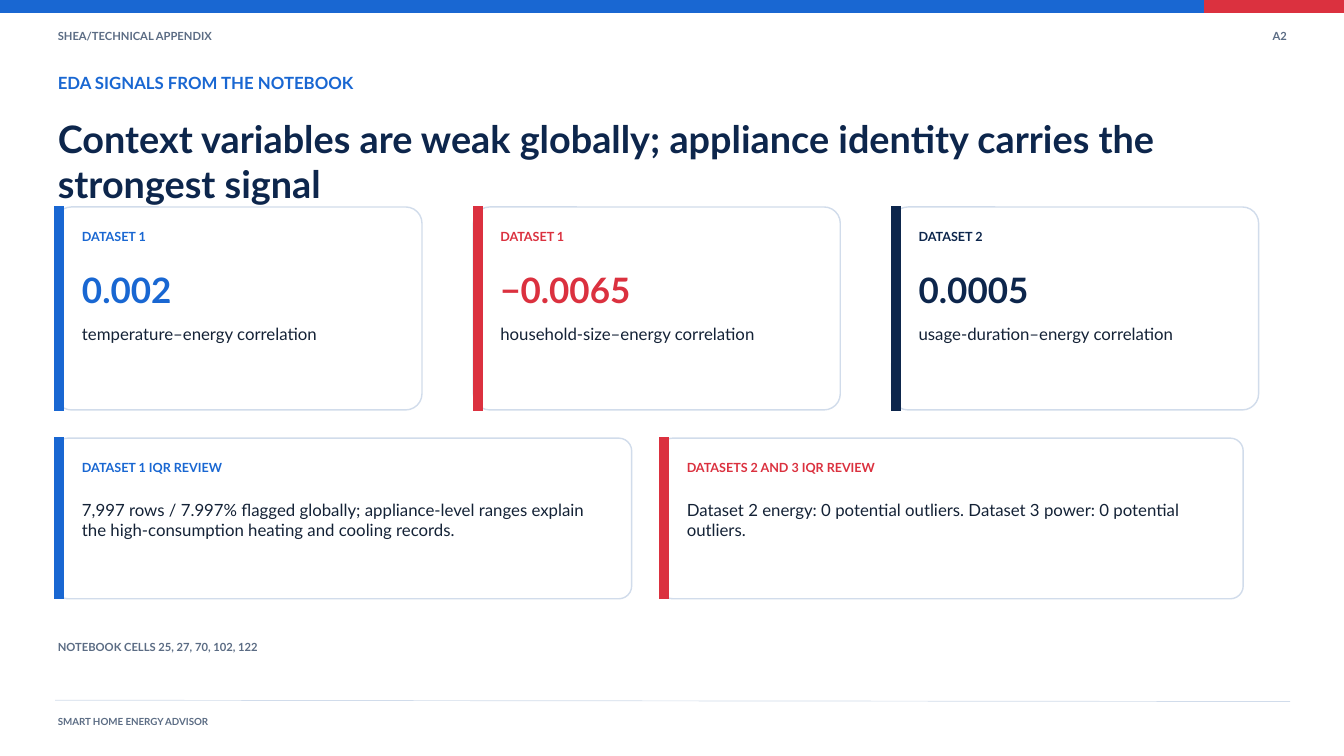
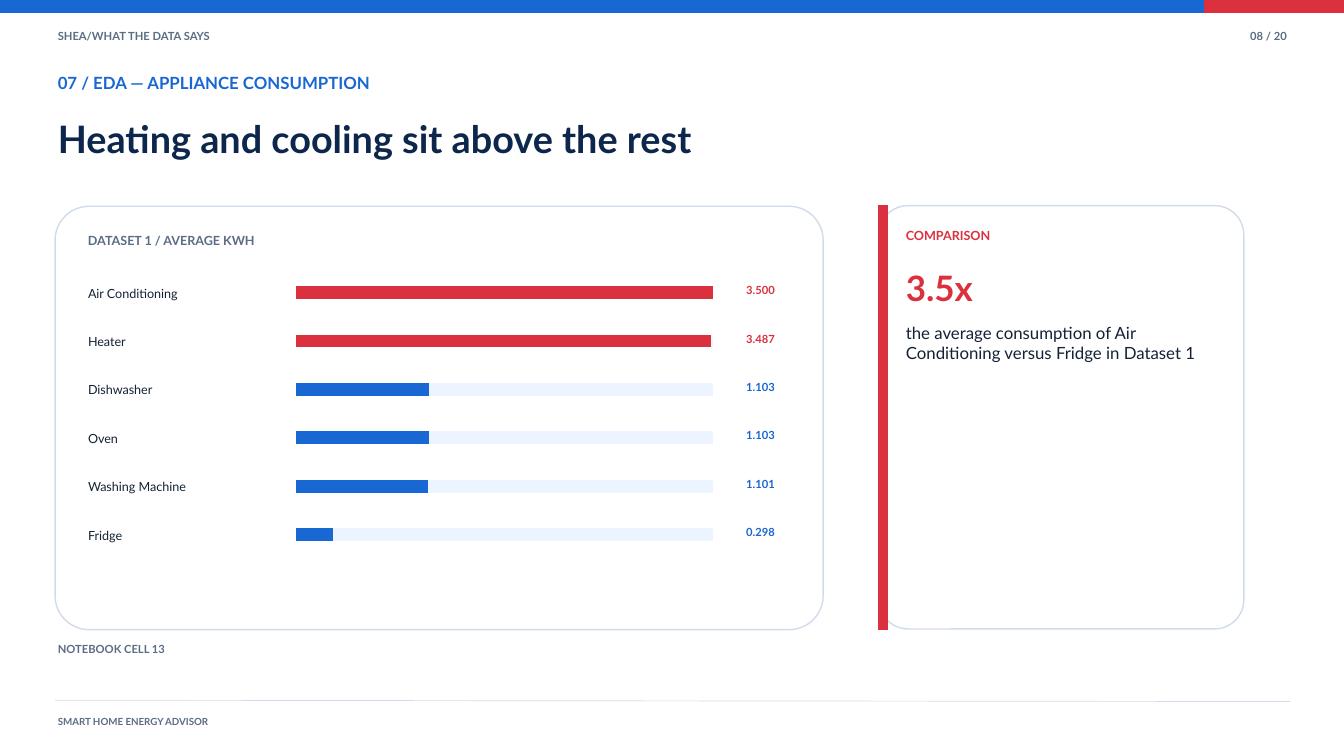
import pptx
import pptx.dml.color
import pptx.enum.shapes
import pptx.enum.text
import pptx.oxml
import pptx.oxml.ns
import pptx.util
from pptx.util import Inches

RGBColor = pptx.dml.color.RGBColor
BLUE = RGBColor(0x19, 0x67, 0xD2)
RED = RGBColor(0xDB, 0x31, 0x3F)
NAVY = RGBColor(0x0D, 0x26, 0x4C)
INK = RGBColor(0x14, 0x22, 0x36)
SLATE = RGBColor(0x5B, 0x6C, 0x84)
BORDER = RGBColor(0xD1, 0xDC, 0xEB)
TRACK = RGBColor(0xEB, 0xF4, 0xFF)
WHITE = RGBColor(0xFF, 0xFF, 0xFF)

FONT = "Lato"
LEFT = pptx.enum.text.PP_ALIGN.LEFT
RIGHT = pptx.enum.text.PP_ALIGN.RIGHT
RECTANGLE = pptx.enum.shapes.MSO_SHAPE.RECTANGLE
ROUNDED = pptx.enum.shapes.MSO_SHAPE.ROUNDED_RECTANGLE

CARD_LEFT = 0.82
TEXT_LEFT = 0.86
CONSUMPTION = [
    ("Air Conditioning", 3.500),
    ("Heater", 3.487),
    ("Dishwasher", 1.103),
    ("Oven", 1.103),
    ("Washing Machine", 1.101),
    ("Fridge", 0.298),
]


def place(shape, left, top, width, height):
    shape.left, shape.top = Inches(left), Inches(top)
    shape.width, shape.height = Inches(width), Inches(height)


def write(frame, text, size, color, bold, align):
    """Fill a text frame with one paragraph, without insets."""
    frame.margin_left = frame.margin_right = 0
    frame.margin_top = frame.margin_bottom = 0
    frame.word_wrap = True
    frame.vertical_anchor = pptx.enum.text.MSO_ANCHOR.TOP
    frame.text = text
    paragraph = frame.paragraphs[0]
    paragraph.alignment = align
    paragraph.line_spacing = pptx.util.Pt(size * 1.2)
    font = paragraph.runs[0].font
    font.name, font.size, font.bold = FONT, pptx.util.Pt(size), bold
    font.color.rgb = color


def add_text(slide, text, left, top, width, height, size, color, bold=True, align=LEFT):
    box = slide.shapes.add_textbox(
        Inches(left), Inches(top), Inches(width), Inches(height))
    write(box.text_frame, text, size, color, bold, align)
    box.text_frame.auto_size = pptx.enum.text.MSO_AUTO_SIZE.SHAPE_TO_FIT_TEXT


def add_block(slide, kind, left, top, width, height, fill, line):
    """Preset shape with a solid fill and a sharp-cornered outline."""
    block = slide.shapes.add_shape(
        kind, Inches(left), Inches(top), Inches(width), Inches(height))
    block.shadow.inherit = False
    block.fill.solid()
    block.fill.fore_color.rgb = fill
    block.line.color.rgb = line
    block.line.width = pptx.util.Pt(1.5)
    block.line._get_or_add_ln().append(pptx.oxml.parse_xml(
        f'<a:miter {pptx.oxml.ns.nsdecls("a")} lim="800000"/>'))
    return block


def add_bar(slide, left, top, width, height, color):
    add_block(slide, RECTANGLE, left, top, width, height, color, color)


def add_panel(slide, left, top, width, height):
    panel = add_block(slide, ROUNDED, left, top, width, height, WHITE, BORDER)
    panel.adjustments[0] = 0.08


def add_card(slide, left, top, width, height, accent, label, body, figure=None):
    """Panel with an accent edge, a label, an optional large figure and a body."""
    add_panel(slide, left, top, width, height)
    add_bar(slide, left, top, 0.13, height, accent)
    inner_left, inner_width = left + 0.4, width - 0.72
    add_text(slide, label, inner_left, top + 0.33, inner_width, 0.28, 13.5, accent)
    body_offset = 0.91
    if figure:
        add_text(slide, figure, inner_left, top + 0.91, inner_width, 0.66, 37.5, accent)
        body_offset = 1.74
    add_text(slide, body, inner_left, top + body_offset, inner_width,
             height - body_offset - 0.31, 18, INK, bold=False)


def add_frame(deck, section, page, kicker, title):
    """New slide with the band, header, title and footer that all slides share."""
    slide = deck.slides.add_slide(deck.slide_layouts[5])
    heading = slide.shapes.title
    place(heading, TEXT_LEFT, 1.72, 18.03, 1.16)
    write(heading.text_frame, title, 40.5, NAVY, True, LEFT)
    heading.text_frame.auto_size = pptx.enum.text.MSO_AUTO_SIZE.NONE

    add_bar(slide, -0.01, -0.01, 20.04, 0.19, BLUE)
    add_bar(slide, 17.93, -0.01, 2.1, 0.19, RED)
    add_text(slide, section, TEXT_LEFT, 0.44, 11.95, 0.3, 12, SLATE)
    add_text(slide, page, 17.71, 0.44, 1.44, 0.3, 12, SLATE, align=RIGHT)
    add_text(slide, kicker, TEXT_LEFT, 1.08, 18.03, 0.47, 18, BLUE)

    rule = slide.shapes.add_connector(
        pptx.enum.shapes.MSO_CONNECTOR.STRAIGHT,
        Inches(CARD_LEFT), Inches(10.42), Inches(19.2), Inches(10.44))
    rule.line.color.rgb = BORDER
    rule.line.width = pptx.util.Pt(0.75)
    rule._element.spPr.append(pptx.oxml.parse_xml(
        f"<a:effectLst {pptx.oxml.ns.nsdecls('a')}/>"))
    add_text(slide, "SMART HOME ENERGY ADVISOR", TEXT_LEFT, 10.65, 5.94, 0.22, 10.5, SLATE)
    return slide


def add_consumption_rows(slide, top, pitch):
    """One row per appliance: name, bar over a full-width track, value."""
    track_left, track_width, thickness = 4.42, 6.18, 0.17
    peak = max(kwh for _, kwh in CONSUMPTION)
    for row, (name, kwh) in enumerate(CONSUMPTION):
        color = RED if kwh > peak / 2 else BLUE
        bar_top = top + row * pitch
        add_text(slide, name, 1.31, bar_top - 0.02, 3.09, 0.28, 13.5, INK, bold=False)
        add_bar(slide, track_left, bar_top, track_width, thickness, TRACK)
        add_bar(slide, track_left, bar_top, track_width * kwh / peak, thickness, color)
        add_text(slide, f"{kwh:.3f}", 10.66, bar_top - 0.05, 0.87, 0.24, 12, color,
                 align=RIGHT)


def build_signals(deck):
    slide = add_frame(
        deck, "SHEA/TECHNICAL APPENDIX", "A2", "EDA SIGNALS FROM THE NOTEBOOK",
        "Context variables are weak globally; appliance identity carries the strongest signal")
    correlations = [
        (BLUE, "DATASET 1", "0.002", "temperature–energy correlation"),
        (RED, "DATASET 1", "−0.0065", "household-size–energy correlation"),
        (NAVY, "DATASET 2", "0.0005", "usage-duration–energy correlation"),
    ]
    for column, (accent, dataset, figure, meaning) in enumerate(correlations):
        add_card(slide, CARD_LEFT + column * 12.45 / 2, 3.08, 5.46, 3.02,
                 accent, dataset, meaning, figure)
    add_card(slide, CARD_LEFT, 6.52, 8.58, 2.39, BLUE, "DATASET 1 IQR REVIEW",
             "7,997 rows / 7.997% flagged globally; appliance-level ranges explain "
             "the high-consumption heating and cooling records.")
    add_card(slide, 9.82, 6.52, 8.68, 2.39, RED, "DATASETS 2 AND 3 IQR REVIEW",
             "Dataset 2 energy: 0 potential outliers. "
             "Dataset 3 power: 0 potential outliers.")
    add_text(slide, "NOTEBOOK CELLS 25, 27, 70, 102, 122",
             TEXT_LEFT, 9.53, 11.95, 0.24, 12, SLATE)


def build_consumption(deck):
    slide = add_frame(
        deck, "SHEA/WHAT THE DATA SAYS", "08 / 20", "07 / EDA — APPLIANCE CONSUMPTION",
        "Heating and cooling sit above the rest")
    add_panel(slide, CARD_LEFT, 3.07, 11.43, 6.3)
    add_text(slide, "DATASET 1 / AVERAGE KWH", 1.31, 3.47, 5.94, 0.25, 13.5, SLATE)
    add_consumption_rows(slide, 4.27, 0.72)
    add_card(slide, 13.08, 3.06, 5.43, 6.3, RED, "COMPARISON",
             "the average consumption of Air Conditioning versus Fridge in Dataset 1",
             "3.5x")
    add_text(slide, "NOTEBOOK CELL 13", TEXT_LEFT, 9.56, 7.45, 0.24, 12, SLATE)


def main():
    deck = pptx.Presentation()
    deck.slide_width, deck.slide_height = Inches(20), Inches(11.25)
    build_signals(deck)
    build_consumption(deck)
    deck.save("out.pptx")


if __name__ == "__main__":
    main()
